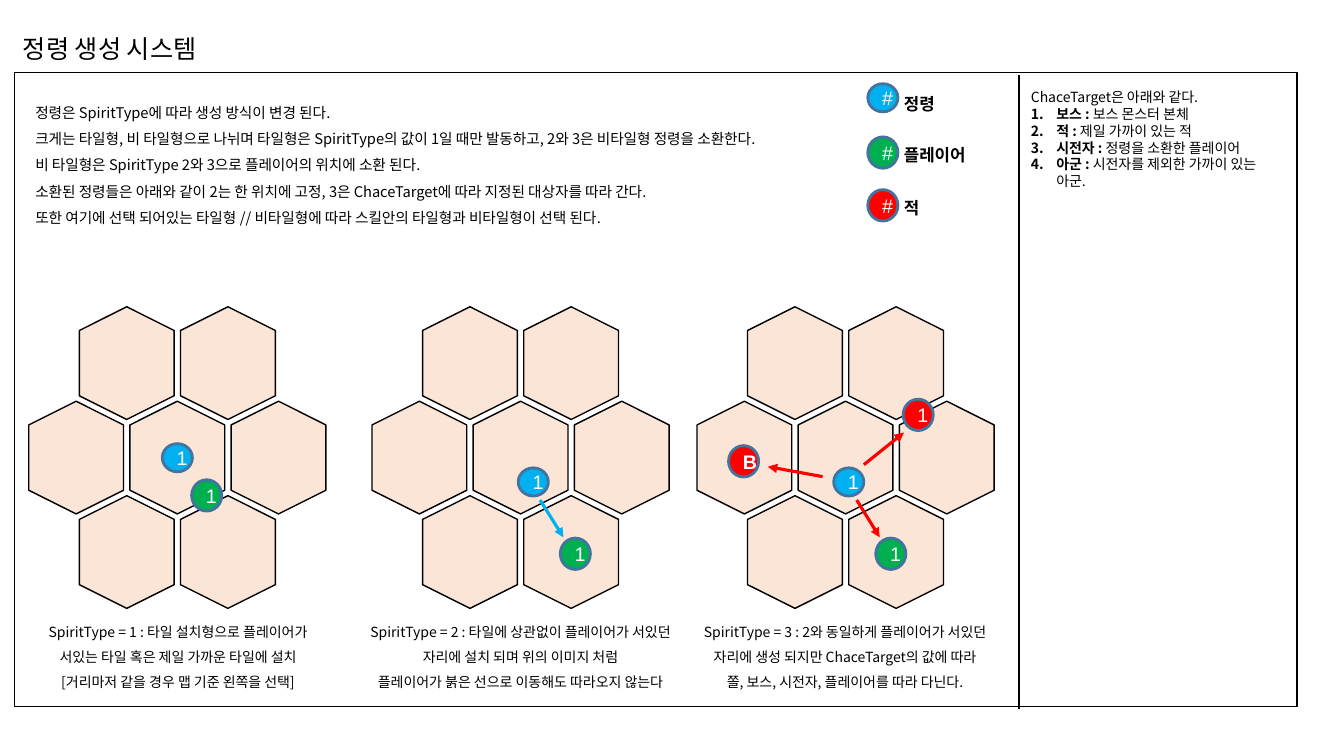
from enum import Enum
from typing import NamedTuple

from lxml.etree import SubElement
from pptx import Presentation
from pptx.dml.color import RGBColor
from pptx.enum.shapes import MSO_CONNECTOR, MSO_SHAPE
from pptx.enum.text import MSO_ANCHOR, MSO_AUTO_SIZE, PP_ALIGN
from pptx.oxml.ns import qn
from pptx.shapes.autoshape import Shape
from pptx.slide import Slide
from pptx.text.text import _Paragraph as Paragraph
from pptx.util import Cm, Pt

KOREAN_FONT = "Noto Sans CJK KR"
LATIN_FONT = "Arial"
BLACK, WHITE, RED, BLUE, GREEN = "000000", "FFFFFF", "FF0000", "00B0F0", "00B050"
TILE_FILL, TOKEN_LINE = "FBE5D6", "43739E"

TILE_LENGTH, TILE_WIDTH = 2.84, 2.39
COLUMN_STEP, ROW_STEP = 2.55, 2.38
MAP_CENTER_TOP = 11.53
TOKEN_WIDTH = 0.76


class Role(Enum):
    """Fill colour and height of each kind of token."""
    SPIRIT = (BLUE, 0.71)
    PLAYER = (GREEN, 0.79)
    ENEMY = (RED, 0.79)


class Box(NamedTuple):
    """Position and size in centimetres."""
    left: float
    top: float
    width: float
    height: float


class Token(NamedTuple):
    """A round marker and the sign inside it."""
    role: Role
    left: float
    top: float
    sign: str = "1"
    bold: bool = False


class Arrow(NamedTuple):
    """A movement from one point to another."""
    start: tuple[float, float]
    end: tuple[float, float]
    color: str = RED


class TileMap(NamedTuple):
    """Seven tiles with their tokens, arrows and caption."""
    center_left: float
    caption_left: float
    caption: list[str]
    tokens: list[Token]
    arrows: list[Arrow]


class Legend(NamedTuple):
    """A sample token and its name."""
    token: Token
    label: str
    label_top: float


LEGENDS = [
    Legend(Token(Role.SPIRIT, 21.87, 2.11, "#"), "정령", 1.98),
    Legend(Token(Role.PLAYER, 21.87, 3.45, "#"), "플레이어", 3.28),
    Legend(Token(Role.ENEMY, 21.87, 4.78, "#"), "적", 4.6),
]

TILE_MAPS = [
    TileMap(4.47, 0.18,
            ["SpiritType = 1 : 타일 설치형으로 플레이어가",
             "서있는 타일 혹은 제일 가까운 타일에 설치",
             "[거리마저 같을 경우 맵 기준 왼쪽을 선택]"],
            [Token(Role.SPIRIT, 4.09, 11.18), Token(Role.PLAYER, 4.83, 12.09)],
            []),
    TileMap(13.12, 8.81,
            ["SpiritType = 2 : 타일에 상관없이 플레이어가 서있던 자리에 설치 되며 위의 이미지 처럼",
             "플레이어가 붉은 선으로 이동해도 따라오지 않는다"],
            [Token(Role.SPIRIT, 13.06, 11.79), Token(Role.PLAYER, 14.12, 13.56)],
            [Arrow((13.61, 12.6), (14.2, 13.54), BLUE)]),
    TileMap(21.31, 16.99,
            ["SpiritType = 3 : 2와 동일하게 플레이어가 서있던 자리에 생성 되지만 ChaceTarget의 값에 따라",
             "쫄, 보스, 시전자, 플레이어를 따라 다닌다."],
            [Token(Role.SPIRIT, 21.01, 11.79), Token(Role.PLAYER, 22.07, 13.56),
             Token(Role.ENEMY, 18.36, 11.23, "B", True), Token(Role.ENEMY, 22.76, 10.06)],
            [Arrow((21.59, 12.6), (22.17, 13.54)), Arrow((20.73, 12.01), (19.35, 11.76)),
             Arrow((21.77, 11.71), (22.78, 10.9))]),
]

DESCRIPTION = [
    "정령은 SpiritType에 따라 생성 방식이 변경 된다.",
    "크게는 타일형, 비 타일형으로 나뉘며 타일형은 SpiritType의 값이 1일 때만 발동하고, 2와 3은 비타일형 정령을 소환한다.",
    "비 타일형은 SpiritType 2와 3으로 플레이어의 위치에 소환 된다.",
    "소환된 정령들은 아래와 같이 2는 한 위치에 고정, 3은 ChaceTarget에 따라 지정된 대상자를 따라 간다.",
    "또한 여기에 선택 되어있는 타일형 // 비타일형에 따라 스킬안의 타일형과 비타일형이 선택 된다.",
]

CHASE_TARGETS = [
    ("보스 : ", "보스 몬스터 본체"),
    ("적 : ", "제일 가까이 있는 적"),
    ("시전자 : ", "정령을 소환한 플레이어"),
    ("아군 : ", "시전자를 제외한 가까이 있는 아군."),
]


def rgb(color: str) -> RGBColor:
    """Turn a hex string into a colour."""
    return RGBColor.from_string(color)


def add_run(paragraph: Paragraph, text: str, size: float, font: str = KOREAN_FONT,
            color: str = BLACK, bold: bool = False) -> None:
    """Append one formatted run."""
    run = paragraph.add_run()
    run.text = text
    run.font.size, run.font.name, run.font.bold = Pt(size), font, bold
    run.font.color.rgb = rgb(color)
    SubElement(run.font._element, qn("a:ea")).set("typeface", KOREAN_FONT)


def add_text(slide: Slide, box: Box, lines: list[str], size: float, font: str = KOREAN_FONT,
             bold: bool = False, spacing: float = 1.5,
             alignment: PP_ALIGN = PP_ALIGN.LEFT) -> Shape:
    """Add a wrapping text box with one paragraph per line."""
    shape = slide.shapes.add_textbox(*map(Cm, box))
    frame = shape.text_frame
    frame.word_wrap = True
    frame.auto_size = MSO_AUTO_SIZE.SHAPE_TO_FIT_TEXT
    for index, line in enumerate(lines):
        paragraph = frame.add_paragraph() if index else frame.paragraphs[0]
        paragraph.line_spacing, paragraph.alignment = spacing, alignment
        add_run(paragraph, line, size, font, bold=bold)
    return shape


def add_numbered(shape: Shape, term: str, meaning: str) -> None:
    """Append a numbered paragraph with a bold term."""
    paragraph = shape.text_frame.add_paragraph()
    properties = paragraph._p.get_or_add_pPr()
    properties.set("marL", str(Cm(0.64)))
    properties.set("indent", str(-Cm(0.64)))
    SubElement(properties, qn("a:buFont")).set("typeface", "+mj-lt")
    SubElement(properties, qn("a:buAutoNum")).set("type", "arabicPeriod")
    add_run(paragraph, term, 10, bold=True)
    add_run(paragraph, meaning, 10)


def add_outlined(slide: Slide, kind: MSO_SHAPE, box: Box, fill: str | None = None,
                 line: str = BLACK, width: float = 1) -> Shape:
    """Add a preset shape without shadow."""
    shape = slide.shapes.add_shape(kind, *map(Cm, box))
    shape.shadow.inherit = False
    if fill:
        shape.fill.solid()
        shape.fill.fore_color.rgb = rgb(fill)
    else:
        shape.fill.background()
    shape.line.color.rgb, shape.line.width = rgb(line), Pt(width)
    return shape


def add_line(slide: Slide, line: Arrow, width: float, arrowhead: bool = True) -> None:
    """Add a straight line, optionally ending in an arrowhead."""
    connector = slide.shapes.add_connector(
        MSO_CONNECTOR.STRAIGHT, *map(Cm, line.start + line.end))
    connector.line.color.rgb, connector.line.width = rgb(line.color), Pt(width)
    if arrowhead:
        SubElement(connector.line._get_or_add_ln(), qn("a:tailEnd")).set("type", "triangle")
    SubElement(connector._element.spPr, qn("a:effectLst"))


def add_token(slide: Slide, token: Token) -> None:
    """Add a round marker with its sign."""
    fill, height = token.role.value
    box = Box(token.left, token.top, TOKEN_WIDTH, height)
    shape = add_outlined(slide, MSO_SHAPE.OVAL, box, fill, TOKEN_LINE, 2)
    shape.text_frame.vertical_anchor = MSO_ANCHOR.MIDDLE
    paragraph = shape.text_frame.paragraphs[0]
    paragraph.alignment = PP_ALIGN.CENTER
    add_run(paragraph, token.sign, 14, LATIN_FONT, WHITE, token.bold)


def add_tile_map(slide: Slide, tile_map: TileMap) -> None:
    """Draw rows of two, three and two tiles with everything on them."""
    for row, count in enumerate((2, 3, 2)):
        for column in range(count):
            center = tile_map.center_left + (column - (count - 1) / 2) * COLUMN_STEP
            middle = MAP_CENTER_TOP + (row - 1) * ROW_STEP
            box = Box(center - TILE_LENGTH / 2, middle - TILE_WIDTH / 2, TILE_LENGTH, TILE_WIDTH)
            add_outlined(slide, MSO_SHAPE.HEXAGON, box, TILE_FILL).rotation = 270
    for token in tile_map.tokens:
        add_token(slide, token)
    for arrow in tile_map.arrows:
        add_line(slide, arrow, 2.25)
    add_text(slide, Box(tile_map.caption_left, 15.37, 8.61, 2.18), tile_map.caption, 10,
             alignment=PP_ALIGN.CENTER)


presentation = Presentation()
presentation.slide_width, presentation.slide_height = Cm(33.87), Cm(19.05)
slide = presentation.slides.add_slide(presentation.slide_layouts[6])

add_text(slide, Box(0.33, 0.71, 12.5, 1.02), ["정령 생성 시스템"], 18, spacing=1.0)
add_outlined(slide, MSO_SHAPE.RECTANGLE, Box(0.36, 1.83, 32.33, 15.98))
add_line(slide, Arrow((25.68, 1.88), (25.68, 17.86), BLACK), 0.75, arrowhead=False)
add_text(slide, Box(0.64, 2.26, 23.19, 3.63), DESCRIPTION, 10.5)
for legend in LEGENDS:
    add_token(slide, legend.token)
    add_text(slide, Box(22.53, legend.label_top, 2.69, 0.91), [legend.label], 12,
             LATIN_FONT, bold=True)
for tile_map in TILE_MAPS:
    add_tile_map(slide, tile_map)
sidebar = add_text(slide, Box(25.73, 2.11, 6.63, 3.25), ["ChaceTarget은 아래와 같다."], 10,
                   spacing=1.0)
for term, meaning in CHASE_TARGETS:
    add_numbered(sidebar, term, meaning)

presentation.save("out.pptx")
